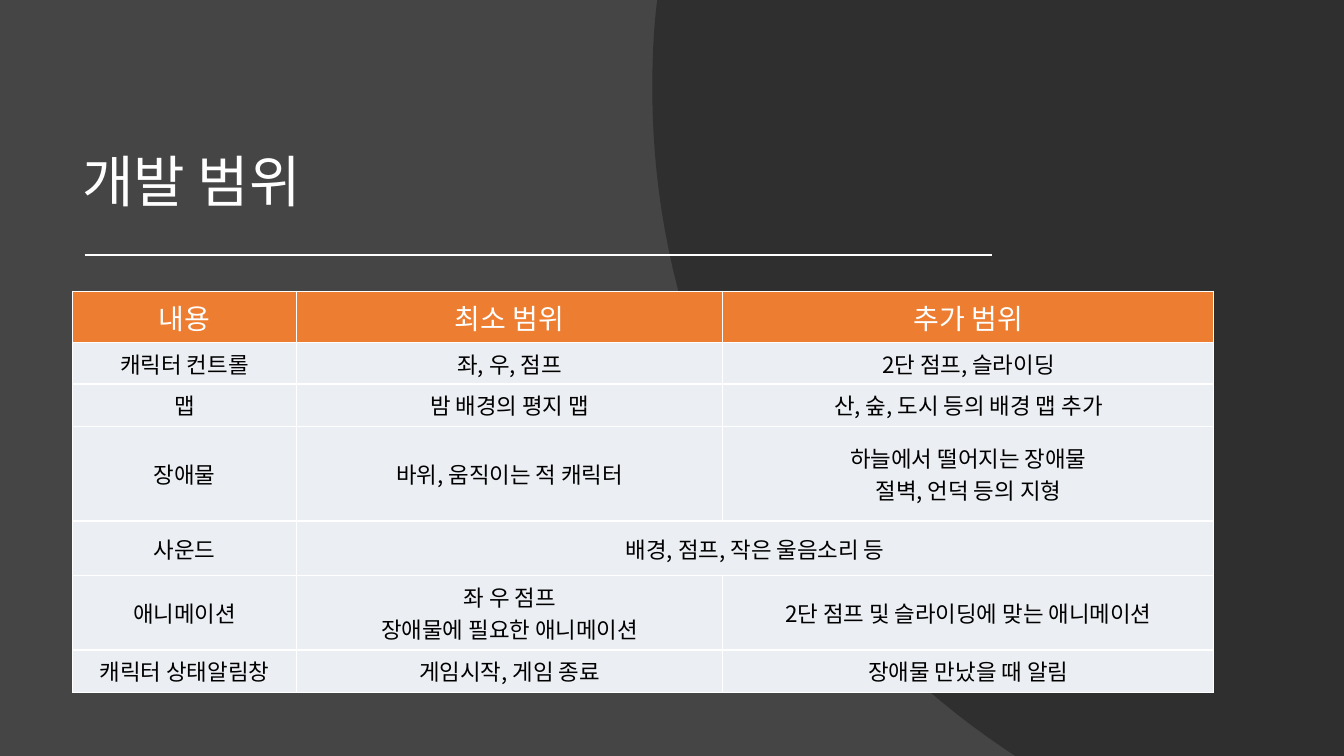
from lxml import etree
from pptx import Presentation
from pptx.dml.color import RGBColor
from pptx.enum import shapes, text
from pptx.oxml import ns
from pptx.util import Inches, Pt

COLORS = {
    "background": "454545",
    "curve": "262626",
    "white": "FFFFFF",
    "header": "ED7D31",
    "body": "EBEEF2",
    "black": "000000",
}
FONT = "Noto Sans CJK KR"


def rgb(name):
    return RGBColor.from_string(COLORS[name])


def add_run(paragraph, words, size, color):
    """Add a run with the same font for Latin and Korean letters."""
    run = paragraph.add_run()
    run.text = words
    run.font.size = Pt(size)
    run.font.name = FONT
    run.font.color.rgb = rgb(color)
    etree.SubElement(run.font._element, ns.qn("a:ea"), typeface=FONT)


prs = Presentation()
prs.slide_width, prs.slide_height = Inches(13.33), Inches(7.5)
slide = prs.slides.add_slide(prs.slide_layouts[6])
slide.background.fill.solid()
slide.background.fill.fore_color.rgb = rgb("background")

# Dark area on the right, its edge sampled from two Bézier curves
edge_curves = [
    [(9.95, 7.42), (7.85, 6), (6.47, 3.6), (6.47, 0.88)],
    [(6.47, 0.88), (6.47, 0.61), (6.48, 0.34), (6.51, 0.07)],
]
STEPS = 40
outline = [(13.33, 0), (13.33, 7.5), (10.07, 7.5)]
for curve in edge_curves:
    for step in range(STEPS + 1):
        t = step / STEPS
        weights = ((1 - t) ** 3, 3 * t * (1 - t) ** 2, 3 * t * t * (1 - t), t ** 3)
        outline.append(tuple(sum(w * p[axis] for w, p in zip(weights, curve))
                             for axis in (0, 1)))
builder = slide.shapes.build_freeform(Inches(6.52), 0)
builder.add_line_segments([(Inches(x), Inches(y)) for x, y in outline], close=True)
dark_area = builder.convert_to_shape()
dark_area.shadow.inherit = False
dark_area.line.fill.background()
dark_area.fill.solid()
dark_area.fill.fore_color.rgb = rgb("curve")
dark_color = dark_area._element.spPr.find(".//" + ns.qn("a:srgbClr"))
etree.SubElement(dark_color, ns.qn("a:alpha"), val="70000")

# Title and rule
rule = slide.shapes.add_connector(shapes.MSO_CONNECTOR.STRAIGHT, Inches(0.84),
                                  Inches(2.53), Inches(9.84), Inches(2.53))
rule.line.color.rgb = rgb("white")
rule.line.width = Pt(1.5)
etree.SubElement(rule._element.spPr, ns.qn("a:effectLst"))

title = slide.shapes.add_textbox(Inches(0.72), Inches(0.4), Inches(9.86), Inches(1.78))
title.text_frame.word_wrap = True
title.text_frame.vertical_anchor = text.MSO_ANCHOR.BOTTOM
heading = title.text_frame.paragraphs[0]
heading.line_spacing = 0.9
heading.space_after = Pt(6)
add_run(heading, "개발 범위", 40, "white")

# Scope table: a cell holding None is merged into the cell on its left
scope_rows = [
    ("내용", "최소 범위", "추가 범위"),
    ("캐릭터 컨트롤", "좌, 우, 점프", "2단 점프, 슬라이딩"),
    ("맵", "밤 배경의 평지 맵", "산, 숲, 도시 등의 배경 맵 추가"),
    ("장애물", "바위, 움직이는 적 캐릭터", "하늘에서 떨어지는 장애물\n절벽, 언덕 등의 지형"),
    ("사운드", "배경, 점프, 작은 울음소리 등", None),
    ("애니메이션", "좌 우 점프\n장애물에 필요한 애니메이션", "2단 점프 및 슬라이딩에 맞는 애니메이션"),
    ("캐릭터 상태알림창", "게임시작, 게임 종료", "장애물 만났을 때 알림"),
]
column_widths = [2.22, 4.23, 4.87]
row_heights = [0.51, 0.41, 0.42, 0.94, 0.54, 0.74, 0.42]
scope = slide.shapes.add_table(
    len(row_heights), len(column_widths), Inches(0.72), Inches(2.89),
    Inches(sum(column_widths)), Inches(sum(row_heights))).table
for column, width in zip(scope.columns, column_widths):
    column.width = Inches(width)
for row, height in zip(scope.rows, row_heights):
    row.height = Inches(height)

for r, row_words in enumerate(scope_rows):
    size, ink, fill = (20, "white", "header") if r == 0 else (16, "black", "body")
    for c, words in enumerate(row_words):
        cell = scope.cell(r, c)
        cell.vertical_anchor = text.MSO_ANCHOR.MIDDLE
        cell.fill.solid()
        cell.fill.fore_color.rgb = rgb(fill)
        for position, side in enumerate(("lnL", "lnR", "lnT", "lnB")):
            border = etree.Element(ns.qn("a:" + side), w=str(Pt(1)))
            line_fill = etree.SubElement(border, ns.qn("a:solidFill"))
            etree.SubElement(line_fill, ns.qn("a:srgbClr"), val=COLORS["white"])
            cell._tc.tcPr.insert(position, border)
        if words is None:
            scope.cell(r, c - 1).merge(cell)
            continue
        for i, line in enumerate(words.split("\n")):
            frame = cell.text_frame
            paragraph = frame.add_paragraph() if i else frame.paragraphs[0]
            paragraph.alignment = text.PP_ALIGN.CENTER
            add_run(paragraph, line, size, ink)

prs.save("out.pptx")
